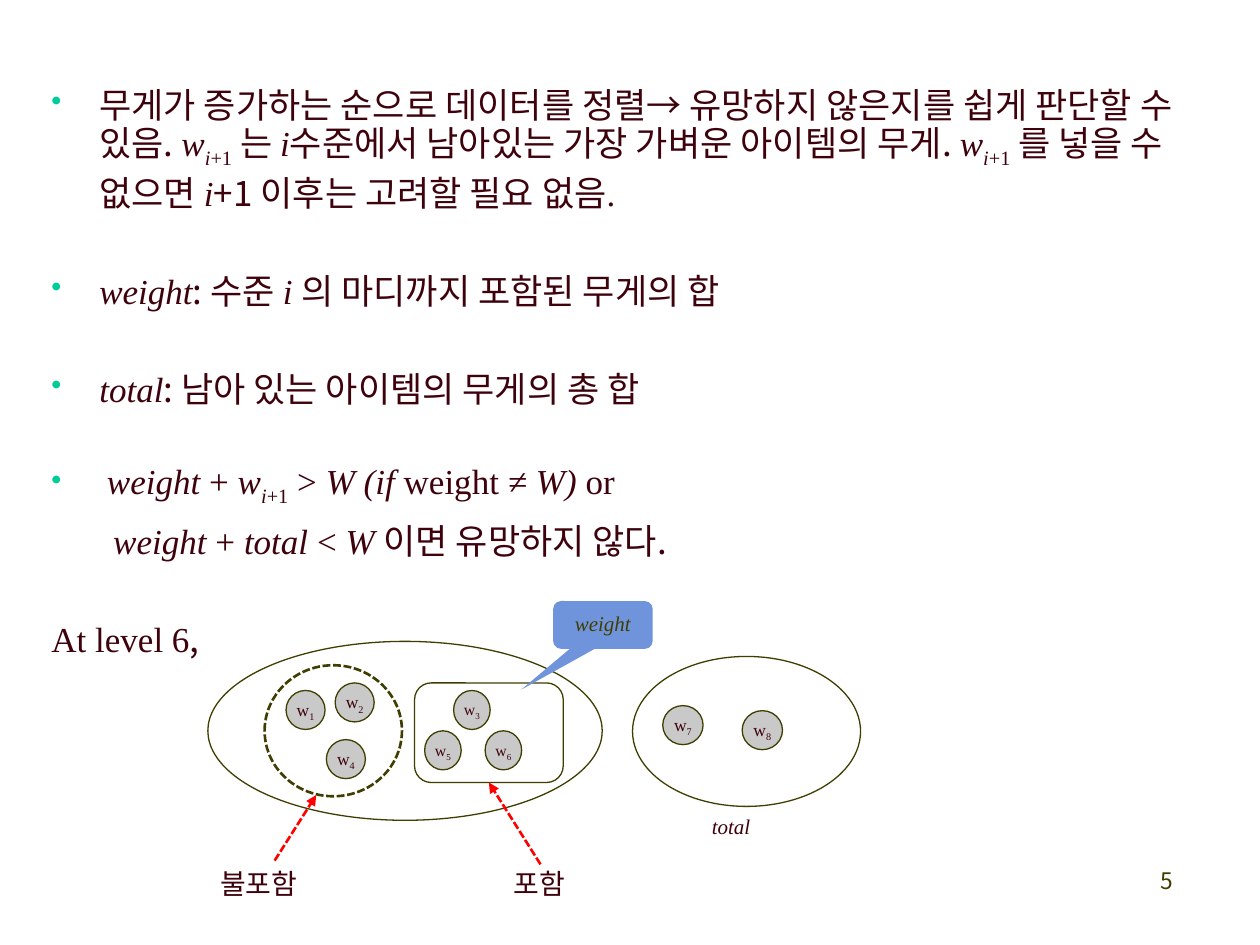
import dataclasses

import lxml.etree
import pptx
import pptx.dml.color
import pptx.enum.dml
import pptx.enum.shapes
import pptx.enum.text
import pptx.oxml.ns
import pptx.util

SHAPE = pptx.enum.shapes.MSO_SHAPE
ALIGN = pptx.enum.text.PP_ALIGN
COLUMNS, ROWS = 100, 75
WIDTH, HEIGHT = pptx.util.Inches(10), pptx.util.Inches(7.5)


@dataclasses.dataclass(frozen=True)
class Theme:
    serif: str = "Times New Roman"
    sans: str = "Noto Sans CJK KR"
    text: str = "3E020C"
    outline: str = "3F3E00"
    bullet: str = "00CC99"
    item: str = "C9C9C9"
    callout: str = "7094DC"
    arrow: str = "FF0000"
    body: int = 20
    label: int = 16
    page: int = 13
    caption: int = 12
    thin: float = 0.75
    thick: float = 1.5


THEME = Theme()
STYLES = {
    "math": (THEME.serif, True, False),
    "serif": (THEME.serif, False, False),
    "korean": (THEME.sans, False, False),
    "index": (THEME.serif, True, True),
    "number": (THEME.serif, False, True),
}

NEXT_WEIGHT = [("w", "math"), ("i", "index"), ("+1", "number")]
SORTING = [
    ("무게가 증가하는 순으로 데이터를 정렬→ 유망하지 않은지를 쉽게 판단할 수 있음. ", "korean"),
    *NEXT_WEIGHT, (" 는 ", "korean"), ("i", "math"),
    ("수준에서 남아있는 가장 가벼운 아이템의 무게. ", "korean"),
    *NEXT_WEIGHT, (" 를 넣을 수 없으면 ", "korean"), ("i", "math"),
    ("+1 이후", "korean"), ("는 고려할 필요 없음.", "serif"),
]
WEIGHT = [("weight", "math"), (": 수준 ", "korean"), ("i ", "math"),
          ("의 마디까지 포함된 무게의 합", "korean")]
TOTAL = [("total", "math"), (": 남아 있는 아이템의 무게의 총 합", "korean")]
OVERWEIGHT = [("weight ", "math"), ("+ ", "serif"), *NEXT_WEIGHT, (" > ", "serif"),
              ("W (if ", "math"), ("weight", "serif"), (" ≠ W)", "math"), (" or", "serif")]
SHORTFALL = [("weight ", "math"), ("+ ", "serif"), ("total", "math"), (" < ", "serif"),
             ("W ", "math"), ("이면 유망하지 않다.", "korean")]
LEVEL = [("At level 6", "serif"), (",", "korean")]

BODY = [
    (SORTING, 0.38, True, 0),
    (WEIGHT, 0.38, True, 31),
    (TOTAL, 0.38, True, 31),
    (OVERWEIGHT, 0.44, True, 31),
    (SHORTFALL, 0.49, False, 6),
    (LEVEL, 0, False, 31),
]

ITEMS = [
    (1, 22.7, 54.8, 3.1, 10), (2, 26.6, 54.2, 3.1, 10), (4, 25.9, 58.7, 3.1, 10),
    (3, 36, 54.8, 2.9, 9), (5, 33.7, 58, 2.9, 9), (6, 38.5, 58, 2.9, 9),
    (7, 52.6, 56, 3.2, 10), (8, 58.9, 56.4, 3.2, 10),
]


def place(column, row):
    return round(WIDTH * column / COLUMNS), round(HEIGHT * row / ROWS)


def color(value):
    return pptx.dml.color.RGBColor.from_string(value)


def add_element(parent, tag, **attributes):
    element = lxml.etree.SubElement(parent, pptx.oxml.ns.qn(tag))
    for key, value in attributes.items():
        element.set(key, value)
    return element


def add_runs(paragraph, parts, size, ink=THEME.text):
    for words, style in parts:
        face, italic, lowered = STYLES[style]
        run = paragraph.add_run()
        run.text = words
        run.font.size = pptx.util.Pt(size)
        run.font.name = face
        run.font.italic = italic
        run.font.color.rgb = color(ink)
        properties = run._r.get_or_add_rPr()
        add_element(properties, "a:ea", typeface=THEME.sans)
        if lowered:
            properties.set("baseline", "-25000")


def clear_margins(frame):
    frame.margin_left = frame.margin_right = frame.margin_top = frame.margin_bottom = 0


def add_text(slide, area, wrap=True):
    frame = slide.shapes.add_textbox(*place(*area[:2]), *place(*area[2:])).text_frame
    frame.word_wrap = wrap
    return frame


def add_label(slide, area, parts, size, wrap=False):
    frame = add_text(slide, area, wrap)
    frame.auto_size = pptx.enum.text.MSO_AUTO_SIZE.SHAPE_TO_FIT_TEXT
    add_runs(frame.paragraphs[0], parts, size)
    return frame


def add_body(slide):
    frame = add_text(slide, (3.1, 6, 94.2, 28.1))
    for position, (parts, indent, bulleted, gap) in enumerate(BODY):
        paragraph = frame.add_paragraph() if position else frame.paragraphs[0]
        paragraph.line_spacing = pptx.util.Pt(25)
        paragraph.space_before = pptx.util.Pt(gap)
        properties = paragraph._p.get_or_add_pPr()
        properties.set("marL", str(pptx.util.Inches(indent)))
        if bulleted:
            properties.set("indent", str(-pptx.util.Inches(indent)))
            tint = add_element(properties, "a:buClr")
            add_element(tint, "a:srgbClr", val=THEME.bullet)
            add_element(properties, "a:buSzPct", val="85000")
            add_element(properties, "a:buChar", char="•")
        add_runs(paragraph, parts, THEME.body)


def add_figure(slide, kind, area, fill=None, outline=THEME.thin, dashed=False):
    figure = slide.shapes.add_shape(kind, *place(*area[:2]), *place(*area[2:]))
    figure.shadow.inherit = False
    if fill:
        figure.fill.solid()
        figure.fill.fore_color.rgb = color(fill)
    else:
        figure.fill.background()
    if outline:
        figure.line.color.rgb = color(THEME.outline)
        figure.line.width = pptx.util.Pt(outline)
    else:
        figure.line.fill.background()
    if dashed:
        figure.line.dash_style = pptx.enum.dml.MSO_LINE.SQUARE_DOT
    return figure


def add_caption(figure, parts, size, ink=THEME.text):
    frame = figure.text_frame
    clear_margins(frame)
    frame.vertical_anchor = pptx.enum.text.MSO_ANCHOR.MIDDLE
    paragraph = frame.paragraphs[0]
    paragraph.alignment = ALIGN.CENTER
    paragraph.line_spacing = 0.9
    add_runs(paragraph, parts, size, ink)


def add_arrow(slide, start, end, target=None):
    arrow = slide.shapes.add_connector(
        pptx.enum.shapes.MSO_CONNECTOR.STRAIGHT, *place(*start), *place(*end))
    if target is not None:
        arrow.end_connect(target, 2)
    arrow.line.color.rgb = color(THEME.arrow)
    arrow.line.width = pptx.util.Pt(THEME.thick)
    arrow.line.dash_style = pptx.enum.dml.MSO_LINE.SQUARE_DOT
    add_element(arrow.line._get_or_add_ln(), "a:tailEnd", type="triangle")
    add_element(arrow._element.spPr, "a:effectLst")


def add_diagram(slide):
    add_figure(slide, SHAPE.OVAL, (16.5, 50.9, 31.3, 14.2))
    included = add_figure(slide, SHAPE.ROUNDED_RECTANGLE, (32.9, 54.2, 11.8, 7.9))
    add_figure(slide, SHAPE.OVAL, (50.2, 52.1, 18.1, 11.9))
    add_figure(slide, SHAPE.OVAL, (21, 52.8, 10.9, 10.4), outline=THEME.thick, dashed=True)
    for number, column, row, width, size in ITEMS:
        item = add_figure(slide, SHAPE.OVAL, (column, row, width, 3.1), THEME.item)
        add_caption(item, [("w", "serif"), (str(number), "number")], size)
    callout = add_figure(slide, SHAPE.ROUNDED_RECTANGULAR_CALLOUT,
                         (43.9, 47.7, 7.9, 3.8), THEME.callout, outline=None)
    callout.adjustments[0] = -0.82
    callout.adjustments[1] = 1.35
    add_caption(callout, [("weight", "math")], THEME.caption, THEME.outline)
    total = add_label(slide, (56.5, 62.7, 3.1, 3.4), [("total", "math")], THEME.caption)
    clear_margins(total)
    total.paragraphs[0].line_spacing = pptx.util.Pt(28)
    add_arrow(slide, (42.9, 68.6), (38.8, 62.1), included)
    add_arrow(slide, (21.8, 68.3), (25.1, 63.1))
    add_label(slide, (39.8, 68.3, 6.5, 3.7), [("포함", "serif")], THEME.label)
    add_label(slide, (16.5, 68.3, 10.2, 3.7), [("불포함", "serif")], THEME.label, wrap=True)


def add_page_number(slide):
    paragraph = add_text(slide, (73.3, 68.3, 20.8, 5)).paragraphs[0]
    paragraph.alignment = ALIGN.RIGHT
    add_runs(paragraph, [("5", "korean")], THEME.page, THEME.outline)


def main():
    deck = pptx.Presentation()
    deck.slide_width, deck.slide_height = WIDTH, HEIGHT
    slide = deck.slides.add_slide(deck.slide_layouts[6])
    add_page_number(slide)
    add_body(slide)
    add_diagram(slide)
    deck.save("out.pptx")


if __name__ == "__main__":
    main()
